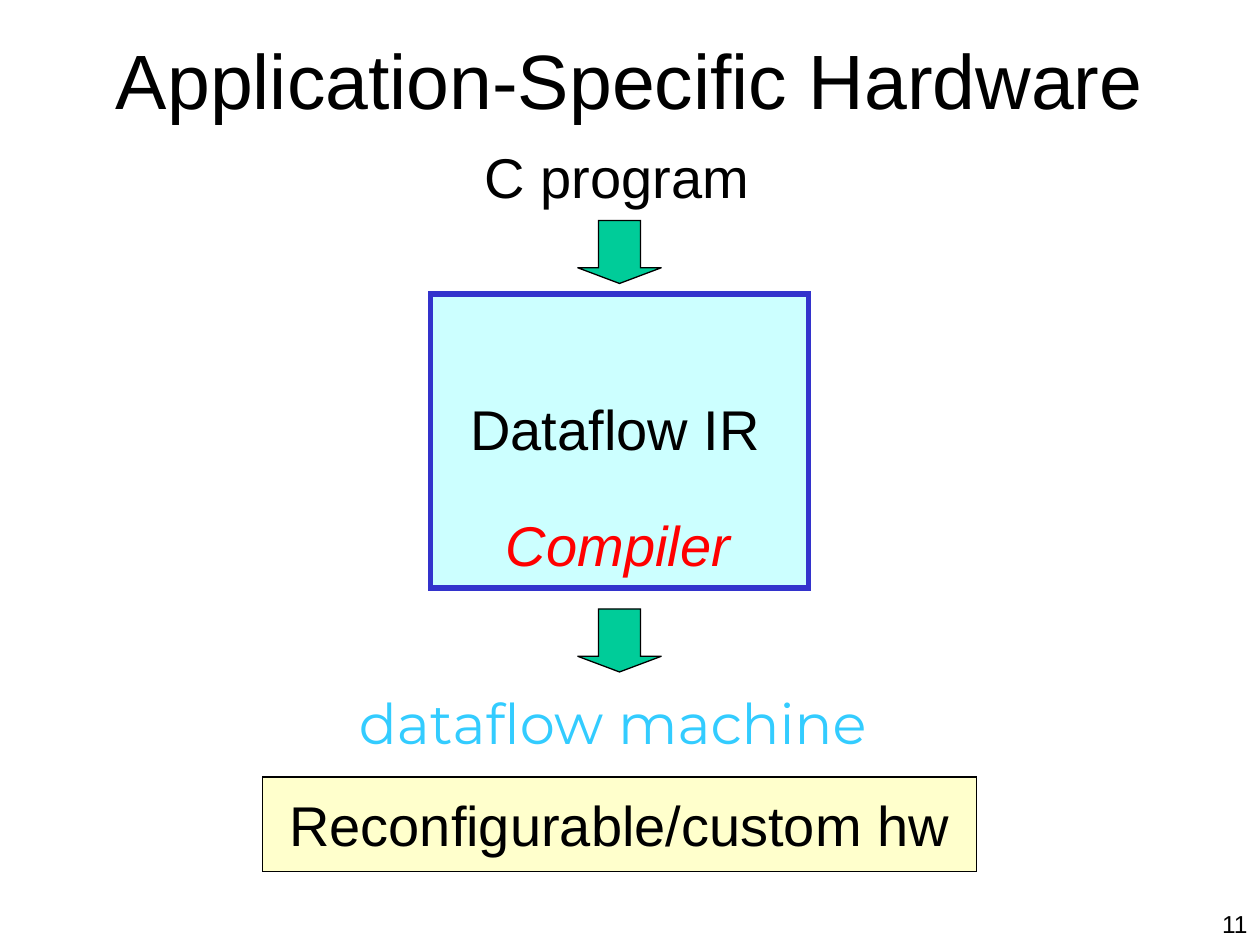
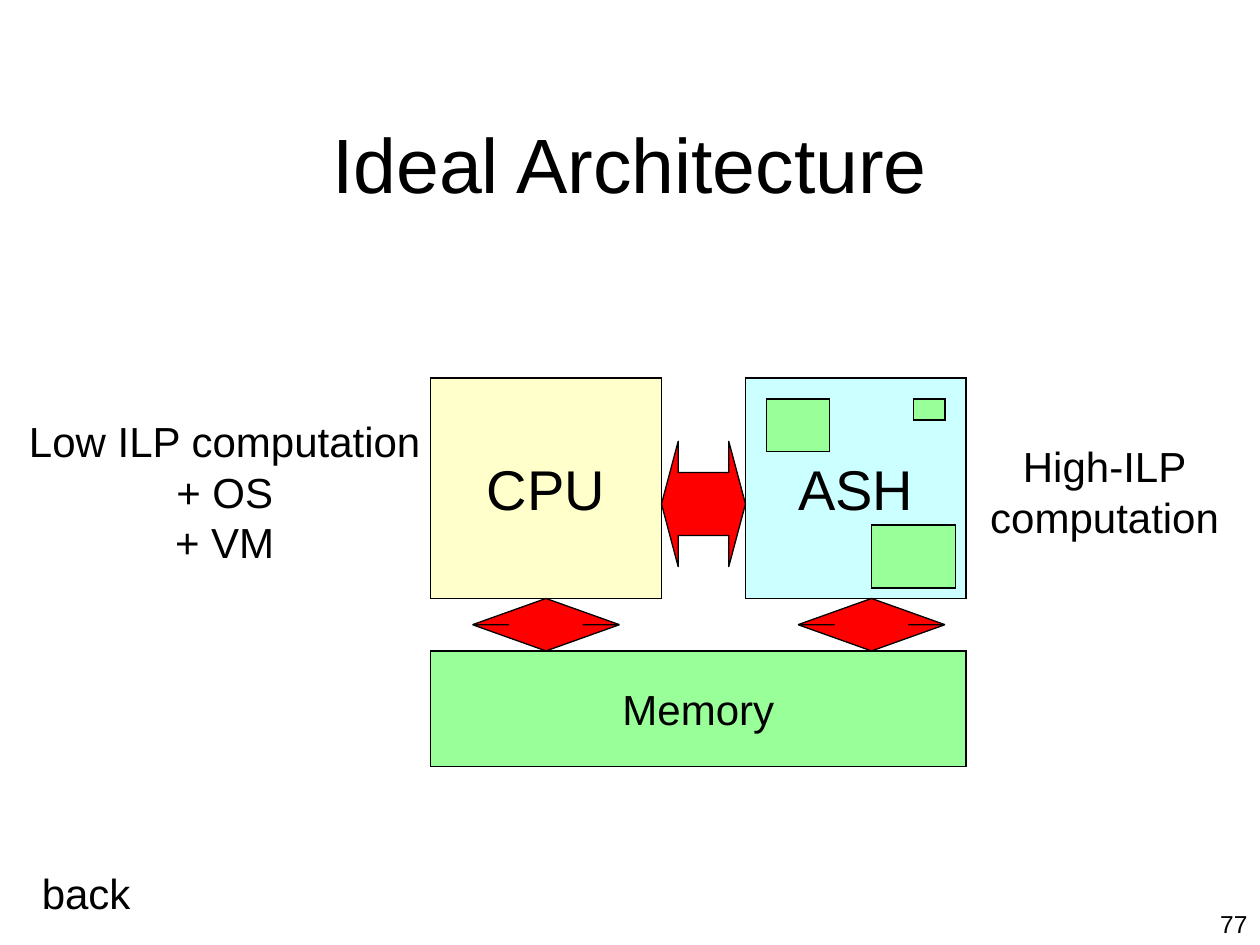
from dataclasses import dataclass
from lxml.etree import SubElement
from pptx import Presentation
from pptx.dml.color import RGBColor
from pptx.enum.shapes import MSO_SHAPE as Preset
from pptx.enum.text import MSO_ANCHOR as Anchor, MSO_AUTO_SIZE as Fit, PP_ALIGN as Align
from pptx.oxml.ns import qn
from pptx.util import Inches, Pt


@dataclass(frozen=True)
class Theme:
    ink: str = "000000"
    paper: str = "FFFFFF"
    cream: str = "FFFFCC"
    ice: str = "CCFFFF"
    mint: str = "99FF99"
    teal: str = "00CC99"
    red: str = "FF0000"
    blue: str = "3333CC"
    sky: str = "33CCFF"
    sans: str = "Arial"
    display: str = "Montserrat"
    title: int = 44
    large: int = 32
    body: int = 24
    footer: int = 14
    thin: float = 0.75
    thick: float = 3


THEME = Theme()
WIDTH, HEIGHT = Inches(10), Inches(7.5)
COLUMNS, ROWS = 120, 90


def on_grid(column, row, columns, rows):
    return (round(column * WIDTH / COLUMNS), round(row * HEIGHT / ROWS),
            round(columns * WIDTH / COLUMNS), round(rows * HEIGHT / ROWS))


def write(frame, lines, size, color=THEME.ink, font=THEME.sans, italic=False,
          align=Align.CENTER, anchor=Anchor.TOP, wrap=False):
    frame.word_wrap = wrap
    frame.vertical_anchor = anchor
    looks = {"name": font, "size": Pt(size), "italic": italic}
    for index, line in enumerate(lines):
        paragraph = frame.paragraphs[0] if index == 0 else frame.add_paragraph()
        paragraph.alignment = align
        run = paragraph.add_run()
        run.text = line
        run.font.color.rgb = RGBColor.from_string(color)
        for attribute, value in looks.items():
            setattr(run.font, attribute, value)


def add_label(slide, cell, *lines, size=THEME.large, wrap=False, **looks):
    label = slide.shapes.add_textbox(*on_grid(*cell))
    write(label.text_frame, lines, size, wrap=wrap, **looks)
    label.text_frame.auto_size = Fit.NONE if wrap else Fit.SHAPE_TO_FIT_TEXT


def add_block(slide, cell, fill, text=None, size=THEME.large, preset=Preset.RECTANGLE,
              border=THEME.ink, weight=THEME.thin, proportions=()):
    block = slide.shapes.add_shape(preset, *on_grid(*cell))
    block.shadow.inherit = False
    block.fill.solid()
    block.fill.fore_color.rgb = RGBColor.from_string(fill)
    block.line.color.rgb = RGBColor.from_string(border)
    block.line.width = Pt(weight)
    outline = block.element.spPr.find(qn("a:ln"))
    SubElement(outline, qn("a:miter"), lim="800000")
    for index, proportion in enumerate(proportions):
        block.adjustments[index] = proportion
    if text:
        write(block.text_frame, [text], size, anchor=Anchor.MIDDLE)


def start_slide(deck, title, title_row, title_rows, number):
    slide = deck.slides.add_slide(deck.slide_layouts[6])
    slide.background.fill.solid()
    slide.background.fill.fore_color.rgb = RGBColor.from_string(THEME.paper)
    add_label(slide, (9, title_row, 102, title_rows), title, size=THEME.title,
              anchor=Anchor.MIDDLE, wrap=True)
    add_label(slide, (114, 86, 6, 4), number, size=THEME.footer,
              align=Align.RIGHT, wrap=True)
    return slide


def build_hardware(deck):
    slide = start_slide(deck, "Application-Specific Hardware", 3, 9, "11")
    add_block(slide, (41, 28, 36, 28), THEME.ice, border=THEME.blue, weight=THEME.thick)
    add_label(slide, (33, 65, 51.7, 8.5), "dataflow machine",
              color=THEME.sky, font=THEME.display, align=Align.LEFT)
    add_label(slide, (45, 13, 27.6, 7.7), "C program", align=Align.LEFT)
    add_label(slide, (47, 48, 23.8, 7.7), "Compiler",
              color=THEME.red, italic=True, align=Align.LEFT)
    add_label(slide, (43.6, 37, 30, 7.7), "Dataflow IR")
    for row in (21, 58):
        add_block(slide, (55, row, 8, 6), THEME.teal, preset=Preset.DOWN_ARROW,
                  proportions=(0.5, 0.25))
    add_block(slide, (25, 74, 68, 9), THEME.cream, "Reconfigurable/custom hw")


def build_architecture(deck):
    slide = start_slide(deck, "Ideal Architecture", 8, 15, "77")
    add_label(slide, (92.7, 41.4, 25, 10.8), "High-ILP", "computation", size=THEME.body)
    add_label(slide, (1.4, 39, 40, 15.6), "Low ILP computation", "+ OS", "+ VM",
              size=THEME.body)
    add_block(slide, (41, 36, 22, 21), THEME.cream, "CPU")
    add_block(slide, (71, 36, 21, 21), THEME.ice, "ASH")
    add_block(slide, (41, 62, 51, 11), THEME.mint, "Memory", THEME.body)
    for local_store in ((73, 38, 6, 5), (87, 38, 3, 2), (83, 50, 8, 6)):
        add_block(slide, local_store, THEME.mint)
    add_block(slide, (63, 42, 8, 12), THEME.red, preset=Preset.LEFT_RIGHT_ARROW,
              proportions=(0.5, 0.2))
    for column in (45, 76):
        add_block(slide, (column, 57, 14, 5), THEME.red, preset=Preset.UP_DOWN_ARROW,
                  proportions=(0.2, 0.5))
    add_label(slide, (2.8, 82, 12, 6), "back", size=THEME.body, align=Align.LEFT)


def main():
    deck = Presentation()
    deck.slide_width, deck.slide_height = WIDTH, HEIGHT
    build_hardware(deck)
    build_architecture(deck)
    deck.save("out.pptx")


if __name__ == "__main__":
    main()
